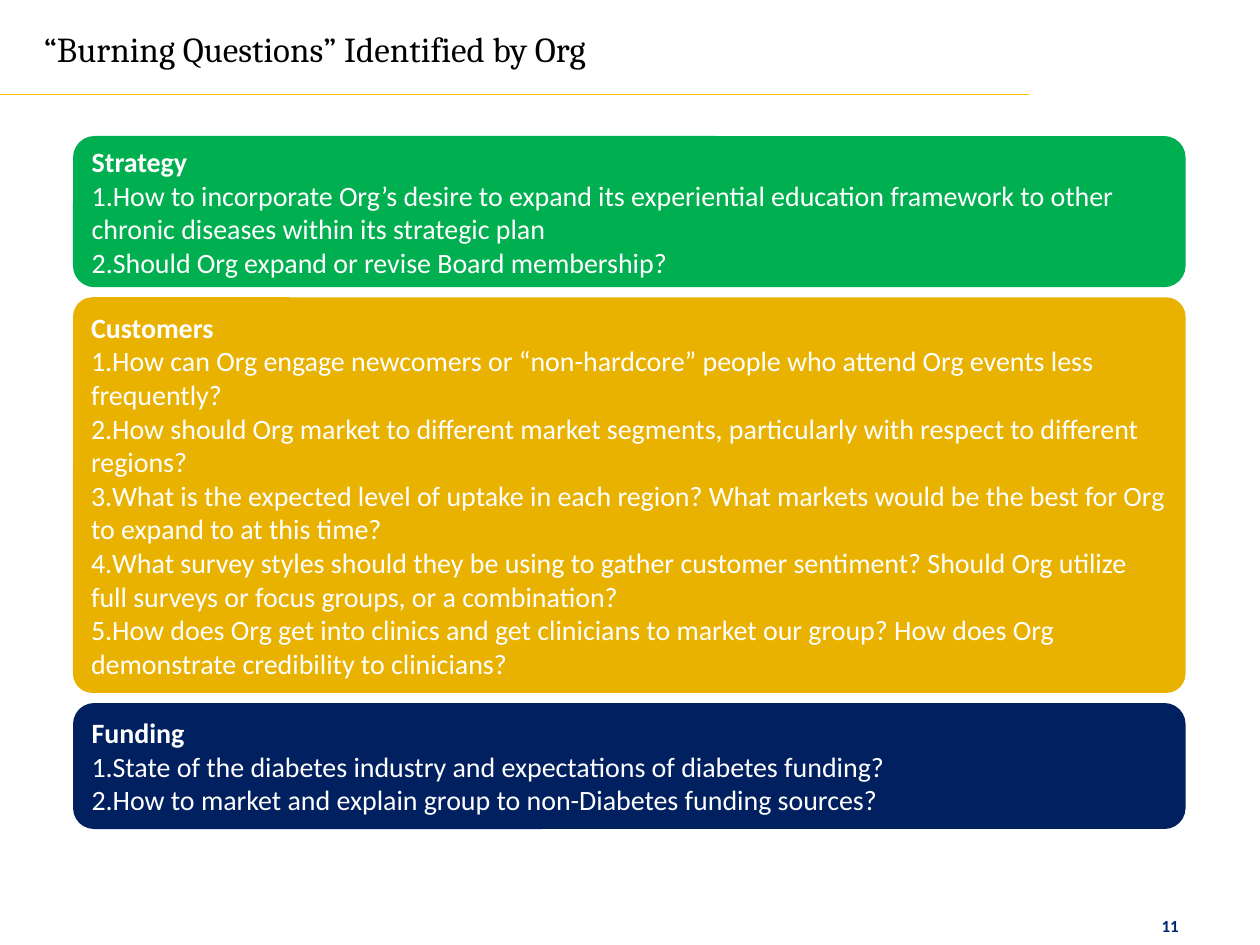
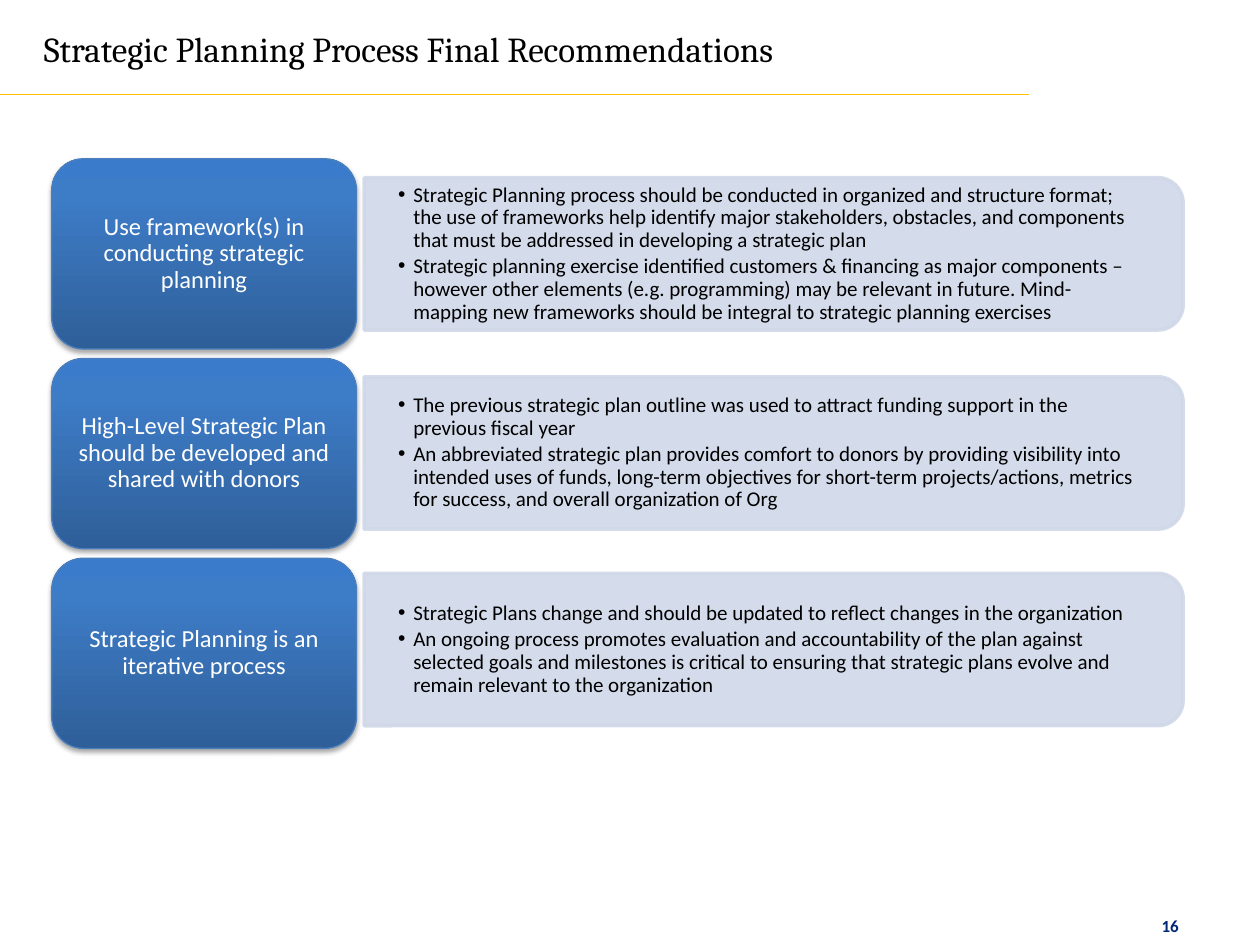
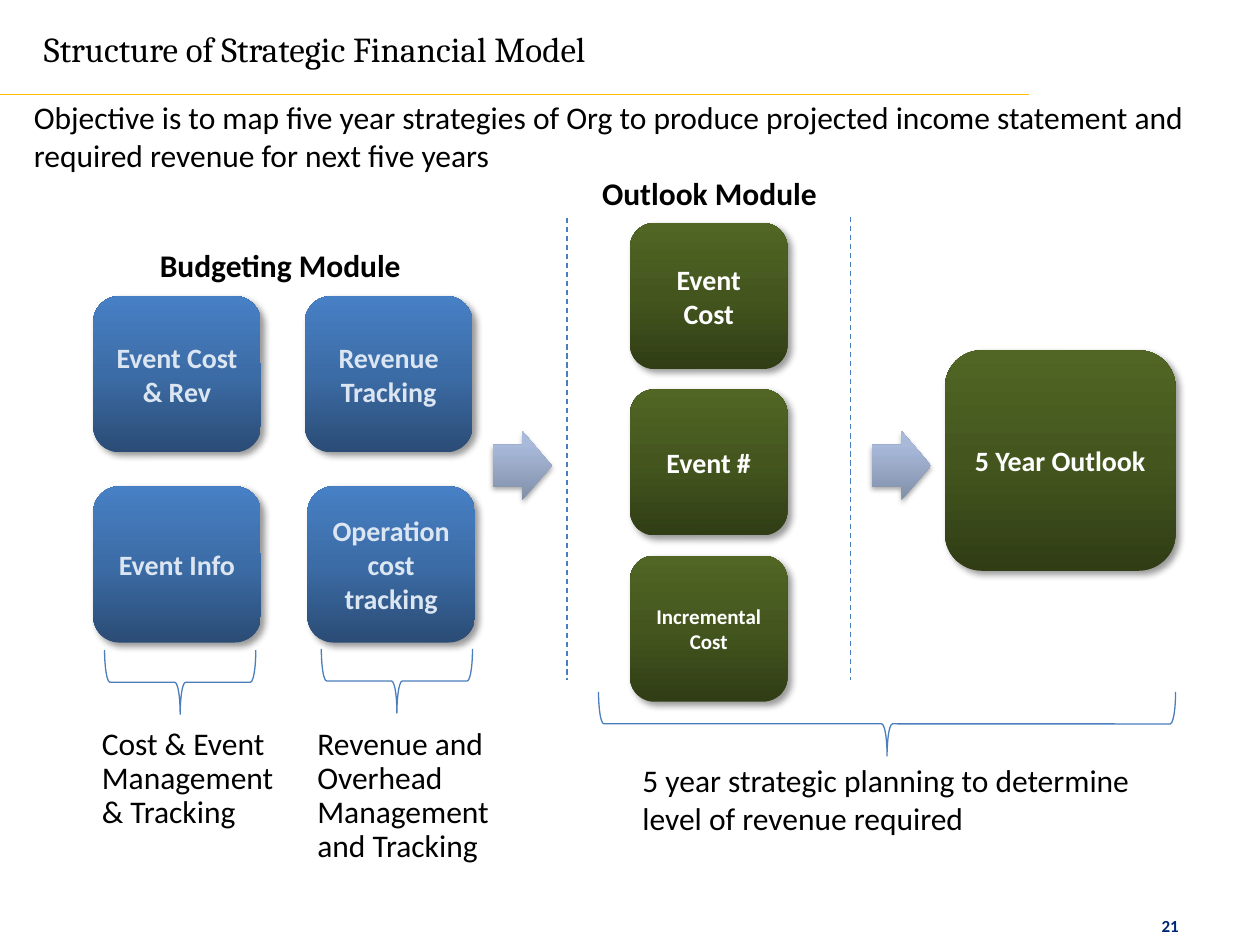
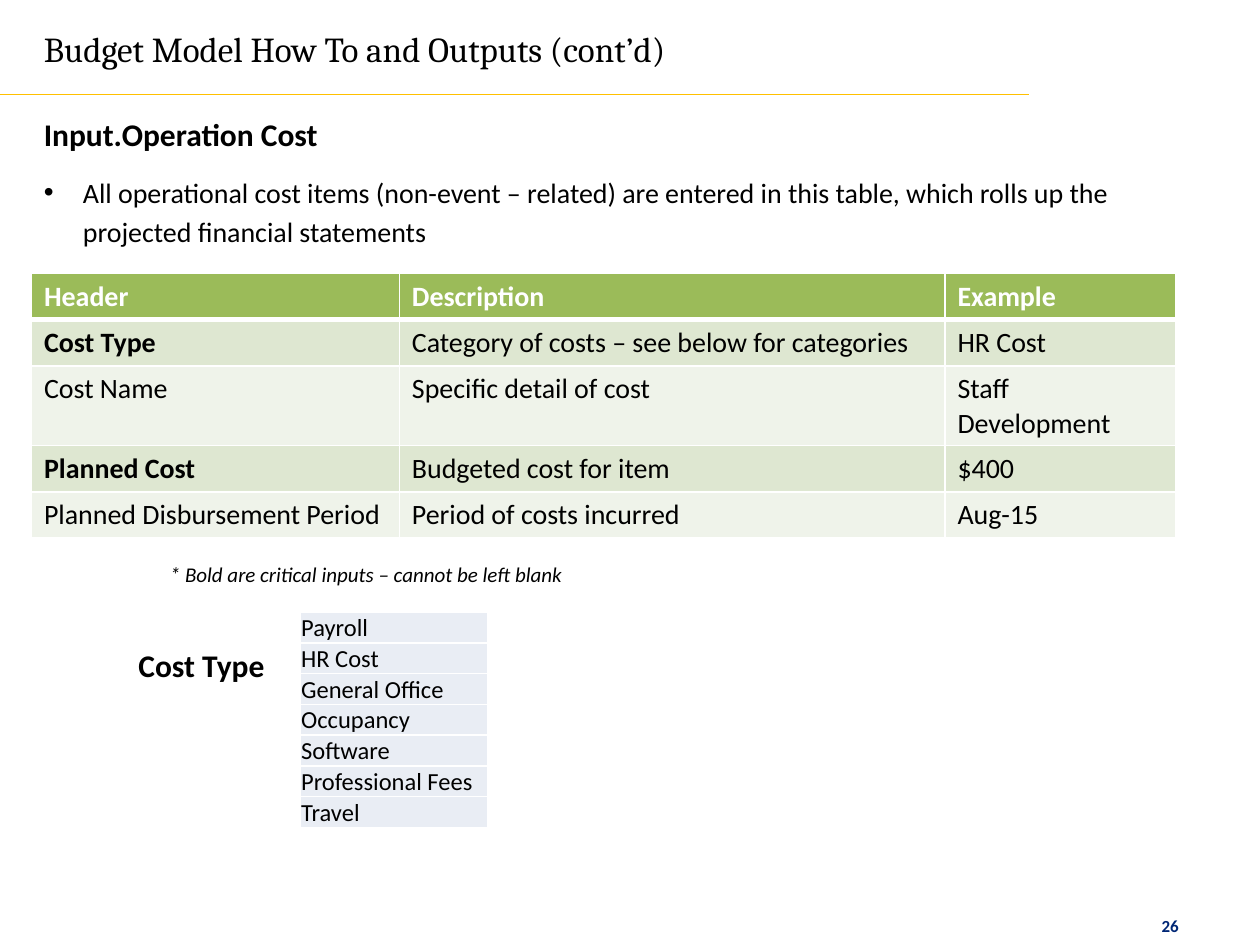
from dataclasses import dataclass
from typing import NamedTuple

from lxml.etree import SubElement
from pptx import Presentation
from pptx.dml.color import RGBColor
from pptx.enum.dml import MSO_LINE
from pptx.enum.shapes import MSO_CONNECTOR, MSO_SHAPE
from pptx.enum.text import MSO_ANCHOR, MSO_AUTO_SIZE, PP_ALIGN
from pptx.oxml.ns import qn
from pptx.util import Inches, Pt


# Shared look
class Gradient(NamedTuple):
    bottom: str
    middle: str
    top: str
    middle_at: int


class Shadow(NamedTuple):
    opacity: int
    blur: float
    distance: float
    angle: int


@dataclass(frozen=True)
class Theme:
    heading_font: str = "Cambria"
    body_font: str = "Calibri"
    black: str = "000000"
    white: str = "FFFFFF"
    gold: str = "FFC000"
    page_number: str = "002776"
    strategy: str = "00B050"
    customers: str = "EAB200"
    funding: str = "002060"
    panel: str = "D0D8E8"
    outline: str = "4B7EBC"
    pale_blue: str = "DCE6F2"
    table_header: str = "9BBB59"
    table_bands: tuple[str, str] = ("DEE7D1", "EFF3EA")
    list_fill: str = "E9EDF4"
    topic_gradient: Gradient = Gradient("2F5F99", "3D7CC7", "3A7CCB", 80)
    budget_gradient: Gradient = Gradient("2A4C75", "3C6CA6", "4780C5", 50)
    outlook_gradient: Gradient = Gradient("303D15", "44561E", "516624", 50)
    arrow_gradient: Gradient = Gradient("818FA8", "A8B9DA", "A7BADC", 80)
    soft_shadow: Shadow = Shadow(35, 3.1, 1.8, 90)
    card_shadow: Shadow = Shadow(40, 4, 3, 45)
    title_size: float = 20
    lead_size: float = 18
    body_size: float = 16
    topic_size: float = 14
    small_size: float = 12
    footer_size: float = 9.7


THEME = Theme()


# Descriptions of repeated elements
class Area(NamedTuple):
    left: float
    top: float
    width: float
    height: float

    def lengths(self) -> list:
        return [Inches(value) for value in self]


class QuestionBox(NamedTuple):
    heading: str
    questions: list[str]
    top: float
    height: float
    color: str
    corner: float


class Recommendation(NamedTuple):
    topic: str
    points: list[str]
    panel_middle: float


class Card(NamedTuple):
    text: str
    area: Area
    size: float = THEME.body_size


class Note(NamedTuple):
    text: str
    area: Area
    bold: bool = False
    spacing: float | None = None


# Text
def add_para(frame, text: str, *, size: float = THEME.body_size, color: str = THEME.black,
             font: str = THEME.body_font, bold: bool = False, italic: bool = False,
             align=PP_ALIGN.LEFT, spacing: float | None = None, after: float | None = None,
             bullet: str = "", numbered: bool = False, hanging: float = 0) -> None:
    para = frame.paragraphs[0] if not frame.text else frame.add_paragraph()
    para.alignment = align
    if spacing:
        para.line_spacing = spacing
    if after:
        para.space_after = Pt(after)
    if bullet or numbered:
        properties = para._p.get_or_add_pPr()
        properties.set("marL", str(Inches(hanging)))
        properties.set("indent", str(-Inches(hanging)))
        if numbered:
            SubElement(properties, qn("a:buAutoNum"), type="arabicPeriod")
        else:
            SubElement(properties, qn("a:buFont"), typeface="Arial")
            SubElement(properties, qn("a:buChar"), char=bullet)
    span = para.add_run()
    span.text = text
    span.font.name, span.font.size = font, Pt(size)
    span.font.bold, span.font.italic = bold, italic
    span.font.color.rgb = RGBColor.from_string(color)


def set_margins(holder, left: float, top: float, right: float, bottom: float) -> None:
    holder.margin_left, holder.margin_top = Inches(left), Inches(top)
    holder.margin_right, holder.margin_bottom = Inches(right), Inches(bottom)


def add_text_frame(page, area: Area, *, wrap: bool = True, grow: bool = True):
    frame = page.shapes.add_textbox(*area.lengths()).text_frame
    frame.word_wrap = wrap
    frame.auto_size = MSO_AUTO_SIZE.SHAPE_TO_FIT_TEXT if grow else MSO_AUTO_SIZE.NONE
    return frame


def add_note(page, note: Note) -> None:
    add_para(add_text_frame(page, note.area), note.text, size=THEME.lead_size,
             bold=note.bold, spacing=note.spacing)


# Shapes and lines
def set_gradient(shape, gradient: Gradient) -> None:
    shape.fill.gradient()
    shape.fill.gradient_angle = 90
    stops = shape._element.spPr.find(qn("a:gradFill")).find(qn("a:gsLst"))
    for stop in list(stops):
        stops.remove(stop)
    positions = (0, gradient.middle_at, 100)
    for position, color in zip(positions, gradient[:3]):
        stop = SubElement(stops, qn("a:gs"), pos=str(position * 1000))
        SubElement(stop, qn("a:srgbClr"), val=color)


def set_shadow(shape, shadow: Shadow) -> None:
    effects = shape._element.spPr.find(qn("a:effectLst"))
    outer = SubElement(effects, qn("a:outerShdw"), blurRad=str(Pt(shadow.blur)),
                       dist=str(Pt(shadow.distance)), dir=str(shadow.angle * 60000),
                       rotWithShape="0")
    color = SubElement(outer, qn("a:srgbClr"), val=THEME.black)
    SubElement(color, qn("a:alpha"), val=str(shadow.opacity * 1000))


def set_opacity(shape, percent: int) -> None:
    for color in list(shape._element.spPr.iter(qn("a:srgbClr"))):
        SubElement(color, qn("a:alpha"), val=str(percent * 1000))


def add_shape(page, kind, area: Area, *, fill: str | Gradient | None = None,
              line: str | None = None, width: float = 0.75,
              shadow: Shadow | None = None, corner: float | None = None):
    shape = page.shapes.add_shape(kind, *area.lengths())
    shape.shadow.inherit = False
    if isinstance(fill, Gradient):
        set_gradient(shape, fill)
    elif fill:
        shape.fill.solid()
        shape.fill.fore_color.rgb = RGBColor.from_string(fill)
    else:
        shape.fill.background()
    if line:
        shape.line.color.rgb = RGBColor.from_string(line)
        shape.line.width = Pt(width)
    else:
        shape.line.fill.background()
    if shadow:
        set_shadow(shape, shadow)
    if corner:
        shape.adjustments[0] = corner
    shape.text_frame.word_wrap = True
    shape.text_frame.vertical_anchor = MSO_ANCHOR.MIDDLE
    return shape


def add_quarter_turned(page, kind, seen: Area, **style):
    """Place a shape turned by 90 degrees so that it covers the seen area."""
    shift = (seen.width - seen.height) / 2
    area = Area(seen.left + shift, seen.top - shift, seen.height, seen.width)
    shape = add_shape(page, kind, area, **style)
    shape.rotation = 90
    return shape


def add_line(page, start: tuple[float, float], end: tuple[float, float], color: str,
             dashed: bool = False) -> None:
    ends = [Inches(value) for value in (*start, *end)]
    line = page.shapes.add_connector(MSO_CONNECTOR.STRAIGHT, *ends)
    line.line.color.rgb = RGBColor.from_string(color)
    line.line.width = Pt(0.75)
    if dashed:
        line.line.dash_style = MSO_LINE.DASH
    SubElement(line._element.spPr, qn("a:effectLst"))


def add_card(page, card: Card, fill: Gradient, color: str) -> None:
    shape = add_shape(page, MSO_SHAPE.ROUNDED_RECTANGLE, card.area, fill=fill,
                      shadow=THEME.card_shadow)
    add_para(shape.text_frame, card.text, size=card.size, color=color, bold=True,
             align=PP_ALIGN.CENTER)


# Tables
def add_table(page, area: Area, widths: list[float], row_count: int, row_height: float):
    table = page.shapes.add_table(row_count, len(widths), *area.lengths()).table
    table.first_row = table.horz_banding = False
    for column, width in zip(table.columns, widths):
        column.width = Inches(width)
    for row in table.rows:
        row.height = Inches(row_height)
    return table


def style_cell(cell, fill: str, top: float = 1, bottom: float = 1) -> None:
    cell.fill.solid()
    cell.fill.fore_color.rgb = RGBColor.from_string(fill)
    properties = cell._tc.get_or_add_tcPr()
    edges = {"a:lnL": 1, "a:lnR": 1, "a:lnT": top, "a:lnB": bottom}
    for index, (tag, width) in enumerate(edges.items()):
        edge = SubElement(properties, qn(tag), w=str(Pt(width)))
        SubElement(SubElement(edge, qn("a:solidFill")), qn("a:srgbClr"), val=THEME.white)
        properties.insert(index, edge)


# Common page: title, rule and page number
def add_page(deck, title: str, title_width: float, number: int):
    page = deck.slides.add_slide(deck.slide_layouts[6])
    add_para(add_text_frame(page, Area(9.12, 7.22, 0.38, 0.15), grow=False), str(number),
             size=THEME.footer_size, color=THEME.page_number, bold=True)
    add_para(add_text_frame(page, Area(0.25, 0.17, title_width, 0.44), wrap=False), title,
             size=THEME.title_size, font=THEME.heading_font)
    add_line(page, (0, 0.75), (8.17, 0.75), THEME.gold)
    return page


# Questions page
QUESTION_BOXES = [
    QuestionBox("Strategy", [
        "How to incorporate Org’s desire to expand its experiential education framework to "
        "other chronic diseases within its strategic plan",
        "Should Org expand or revise Board membership?",
    ], 1.08, 1.2, THEME.strategy, 0.142),
    QuestionBox("Customers", [
        "How can Org engage newcomers or “non-hardcore” people who attend Org events less "
        "frequently?",
        "How should Org market to different market segments, particularly with respect to "
        "different regions?",
        "What is the expected level of uptake in each region? What markets would be the best "
        "for Org to expand to at this time?",
        "What survey styles should they be using to gather customer sentiment? Should Org "
        "utilize full surveys or focus groups, or a combination?",
        "How does Org get into clinics and get clinicians to market our group? How does Org "
        "demonstrate credibility to clinicians?",
    ], 2.36, 3.14, THEME.customers, 0.049),
    QuestionBox("Funding", [
        "State of the diabetes industry and expectations of diabetes funding?",
        "How to market and explain group to non-Diabetes funding sources?",
    ], 5.58, 1, THEME.funding, 0.167),
]


def build_questions(deck) -> None:
    page = add_page(deck, "“Burning Questions” Identified by Org", 4.76, 11)
    for box in QUESTION_BOXES:
        shape = add_shape(page, MSO_SHAPE.ROUNDED_RECTANGLE,
                          Area(0.58, box.top, 8.83, box.height),
                          fill=box.color, corner=box.corner)
        add_para(shape.text_frame, box.heading, color=THEME.white, bold=True)
        for question in box.questions:
            add_para(shape.text_frame, question, color=THEME.white, numbered=True)


# Recommendations page
RECOMMENDATIONS = [
    Recommendation("Use framework(s) in conducting strategic planning", [
        "Strategic Planning process should be conducted in organized and structure format; "
        "the use of frameworks help identify major stakeholders, obstacles, and components "
        "that must be addressed in developing a strategic plan",
        "Strategic planning exercise identified customers & financing as major components – "
        "however other elements (e.g. programming) may be relevant in future. Mind-mapping "
        "new frameworks should be integral to strategic planning exercises",
    ], 2.02),
    Recommendation("High-Level Strategic Plan should be developed and shared with donors", [
        "The previous strategic plan outline was used to attract funding support in the "
        "previous fiscal year",
        "An abbreviated strategic plan provides comfort to donors by providing visibility "
        "into intended uses of funds, long-term objectives for short-term projects/actions, "
        "metrics for success, and overall organization of Org",
    ], 3.6),
    Recommendation("Strategic Planning is an iterative process", [
        "Strategic Plans change and should be updated to reflect changes in the organization",
        "An ongoing process promotes evaluation and accountability of the plan against "
        "selected goals and milestones is critical to ensuring that strategic plans evolve "
        "and remain relevant to the organization",
    ], 5.16),
]


def build_recommendations(deck) -> None:
    page = add_page(deck, "Strategic Planning Process Final Recommendations", 6.3, 16)
    for index, item in enumerate(RECOMMENDATIONS):
        panel = add_quarter_turned(page, MSO_SHAPE.ROUND_2_SAME_RECTANGLE,
                                   Area(2.89, item.panel_middle - 0.61, 6.5, 1.21),
                                   fill=THEME.panel, line=THEME.panel, width=2)
        set_opacity(panel, 90)
        frame = add_text_frame(page, Area(2.89, item.panel_middle - 0.55, 6.44, 1.09),
                               grow=False)
        frame.vertical_anchor = MSO_ANCHOR.MIDDLE
        set_margins(frame, 0.27, 0.14, 0.27, 0.14)
        for point in item.points:
            add_para(frame, point, size=THEME.small_size, spacing=0.9, after=2,
                     bullet="•", hanging=0.12)

        top = 1.26 + 1.585 * index
        topic = add_shape(page, MSO_SHAPE.ROUNDED_RECTANGLE, Area(0.41, top, 2.42, 1.51),
                          fill=THEME.topic_gradient, line=THEME.outline,
                          shadow=THEME.soft_shadow)
        set_margins(topic.text_frame, 0.06, 0.03, 0.06, 0.03)
        add_para(topic.text_frame, item.topic, size=THEME.topic_size, color=THEME.white,
                 align=PP_ALIGN.CENTER, spacing=0.9)


# Financial model page
BUDGET_CARDS = [
    Card("Event Cost & Rev", Area(0.74, 2.35, 1.33, 1.24)),
    Card("Revenue Tracking", Area(2.42, 2.35, 1.33, 1.24)),
    Card("Event Info", Area(0.74, 3.86, 1.33, 1.24)),
    Card("Operation cost tracking", Area(2.44, 3.86, 1.33, 1.24)),
]
OUTLOOK_STEPS = [("Event Cost", THEME.body_size), ("Event #", THEME.body_size),
                 ("Incremental Cost", THEME.small_size)]
OUTLOOK_CARDS = [Card(text, Area(5, 1.77 + 1.32 * index, 1.25, 1.16), size)
                 for index, (text, size) in enumerate(OUTLOOK_STEPS)]
OUTLOOK_CARDS.append(Card("5 Year Outlook", Area(7.5, 2.78, 1.83, 1.75)))
MODEL_NOTES = [
    Note("Objective is to map five year strategies of Org to produce projected income "
         "statement and required revenue for next five years", Area(0.17, 0.73, 9.58, 0.71)),
    Note("Budgeting Module", Area(1.17, 1.9, 2.15, 0.4), bold=True),
    Note("Outlook Module", Area(4.68, 1.33, 1.92, 0.4), bold=True),
    Note("Cost & Event Management & Tracking", Area(0.71, 5.73, 1.64, 0.92), spacing=0.9),
    Note("Revenue and Overhead Management and Tracking", Area(2.42, 5.73, 1.58, 1.19),
         spacing=0.9),
    Note("5 year strategic planning to determine level of revenue required",
         Area(5, 5.99, 4.15, 0.71)),
]
BRACES = [Area(0.83, 5.16, 1.2, 0.51), Area(2.55, 5.15, 1.2, 0.51),
          Area(4.75, 5.49, 4.58, 0.51)]


def build_financial_model(deck) -> None:
    page = add_page(deck, "Structure of Strategic Financial Model", 4.69, 21)
    for left, top in ((4.5, 1.73), (6.75, 1.72)):
        add_line(page, (left, top), (left, 5.4), THEME.outline, dashed=True)
    for card in BUDGET_CARDS:
        add_card(page, card, THEME.budget_gradient, THEME.pale_blue)
    for card in OUTLOOK_CARDS:
        add_card(page, card, THEME.outlook_gradient, THEME.white)
    for brace in BRACES:
        add_quarter_turned(page, MSO_SHAPE.RIGHT_BRACE, brace, line=THEME.outline)
    for note in MODEL_NOTES:
        add_note(page, note)
    for left in (3.91, 6.92):
        add_shape(page, MSO_SHAPE.RIGHT_ARROW, Area(left, 3.42, 0.47, 0.55),
                  fill=THEME.arrow_gradient, shadow=THEME.soft_shadow, corner=0.6)


# Budget model page
INPUT_ROWS = [
    ("Header", "Description", "Example"),
    ("Cost Type", "Category of costs – see below for categories", "HR Cost"),
    ("Cost Name", "Specific detail of cost", "Staff Development"),
    ("Planned Cost", "Budgeted cost for item", "$400"),
    ("Planned Disbursement Period", "Period of costs incurred", "Aug-15"),
]
CRITICAL_INPUTS = {"Cost Type", "Planned Cost"}
COST_TYPES = ["Payroll", "HR Cost", "General Office", "Occupancy", "Software",
              "Professional Fees", "Travel"]


def add_input_table(page) -> None:
    table = add_table(page, Area(0.25, 2.17, 9.08, 1.5), [2.92, 4.33, 1.83],
                      len(INPUT_ROWS), 0.3)
    for row, texts in enumerate(INPUT_ROWS):
        header = row == 0
        fill = THEME.table_header if header else THEME.table_bands[(row - 1) % 2]
        for column, text in enumerate(texts):
            cell = table.cell(row, column)
            style_cell(cell, fill, top=3 if row == 1 else 1, bottom=3 if header else 1)
            add_para(cell.text_frame, text, color=THEME.white if header else THEME.black,
                     bold=header or text in CRITICAL_INPUTS)


def add_cost_types(page) -> None:
    table = add_table(page, Area(2.38, 4.86, 1.49, 1.47), [1.49], len(COST_TYPES), 0.21)
    for row, cost_type in enumerate(COST_TYPES):
        cell = table.cell(row, 0)
        style_cell(cell, THEME.list_fill)
        set_margins(cell, 0.01, 0.01, 0.01, 0)
        cell.vertical_anchor = MSO_ANCHOR.BOTTOM
        add_para(cell.text_frame, cost_type, size=THEME.topic_size)


def build_budget_model(deck) -> None:
    page = add_page(deck, "Budget Model How To and Outputs (cont’d)", 5.38, 26)
    add_input_table(page)
    intro = add_text_frame(page, Area(0.25, 0.82, 9.5, 1.21))
    add_para(intro, "Input.Operation Cost", size=THEME.lead_size, bold=True, spacing=1.15,
             after=10)
    add_para(intro, "All operational cost items (non-event – related) are entered in this "
             "table, which rolls up the projected financial statements", spacing=1.15,
             bullet="•", hanging=0.31)
    add_para(add_text_frame(page, Area(1.25, 4.41, 5.23, 0.3)),
             "* Bold are critical inputs – cannot be left blank", size=THEME.small_size,
             italic=True)
    add_cost_types(page)
    add_para(add_text_frame(page, Area(1, 5.08, 1.21, 0.4), wrap=False), "Cost Type",
             size=THEME.lead_size, bold=True)


def main() -> None:
    deck = Presentation()
    deck.slide_width, deck.slide_height = Inches(10), Inches(7.5)
    build_questions(deck)
    build_recommendations(deck)
    build_financial_model(deck)
    build_budget_model(deck)
    deck.save("out.pptx")


if __name__ == "__main__":
    main()
